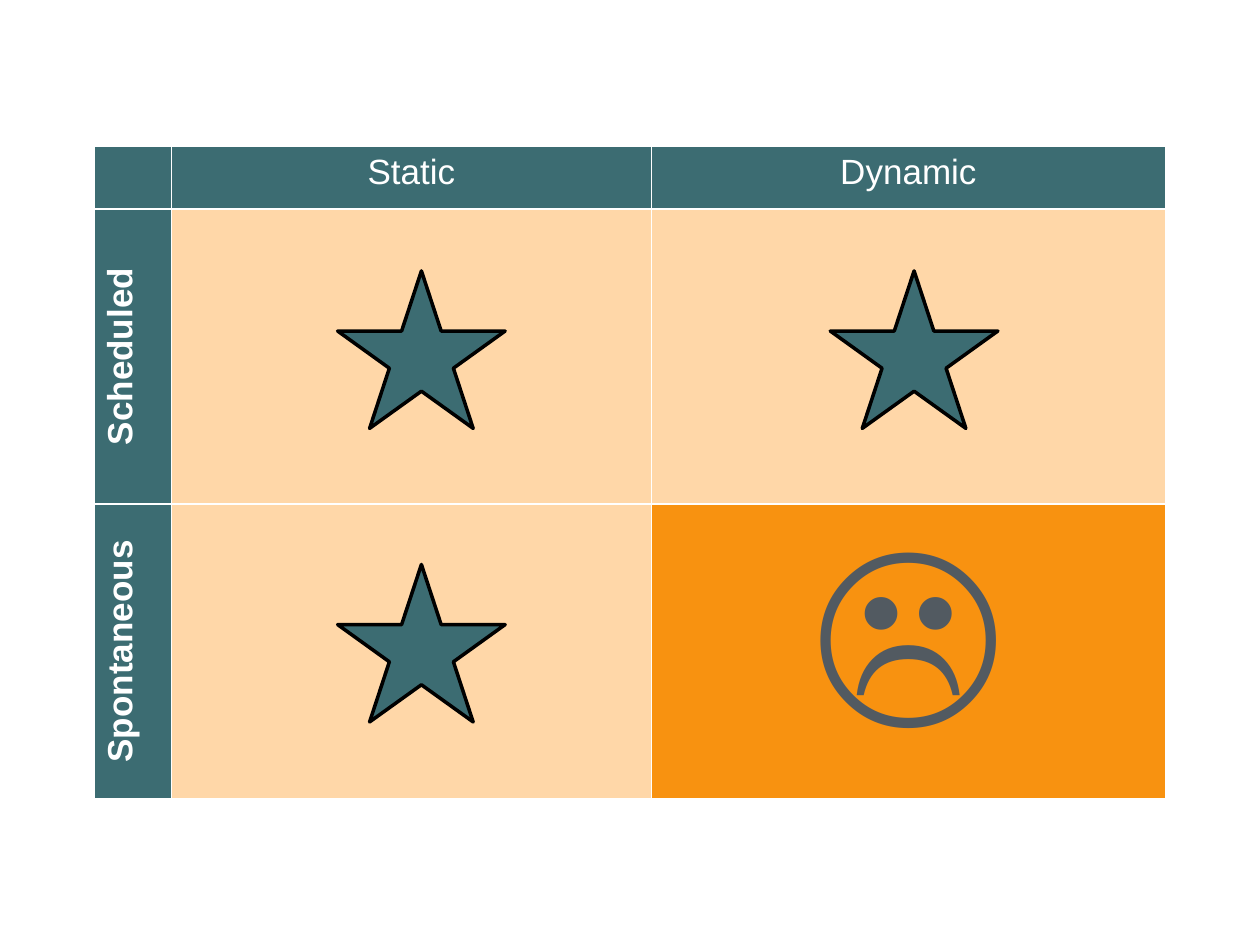
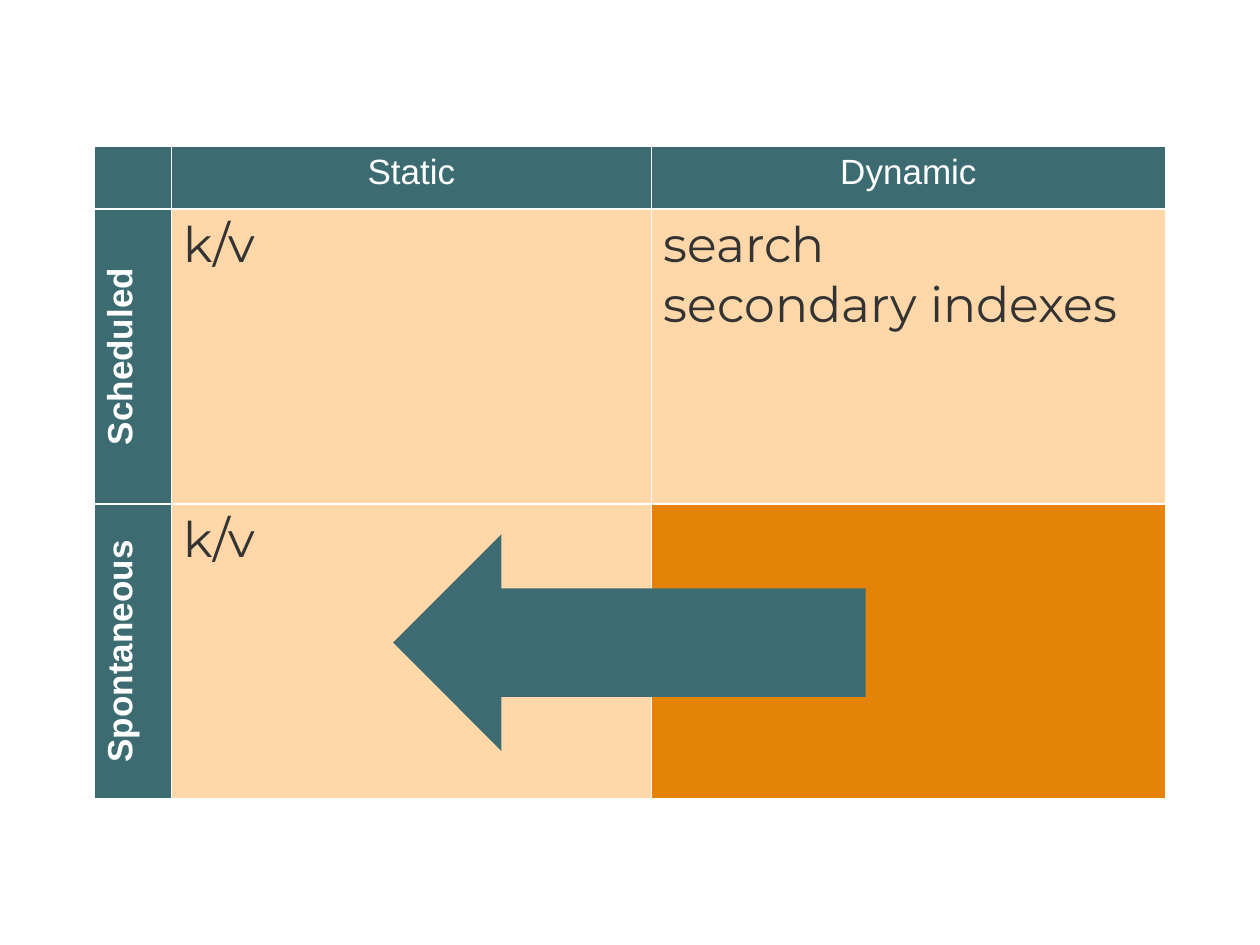
from lxml import etree
from pptx import Presentation
from pptx import util as u
from pptx.dml.color import RGBColor
from pptx.enum import shapes, text
from pptx.oxml.ns import qn

TEAL, PEACH, WHITE, BLACK = "3C6C72", "FFD7A8", "FFFFFF", "000000"
ORANGE, DARK_ORANGE, GREY, INK = "F89210", "E48307", "525A61", "333333"
LEFT, TOP = 0.75, 1.16
COLS, ROWS = (0.61, 3.81, 4.08), (0.5, 2.34, 2.34)
HEADERS, LABELS = ("Static", "Dynamic"), ("Scheduled", "Spontaneous")


def rgb(value):
    return RGBColor.from_string(value)


def write(tf, content, size=20, font="Arial", color=WHITE, bold=False,
          align=text.PP_ALIGN.CENTER):
    for i, line in enumerate(content.split("\n")):
        p = tf.add_paragraph() if i else tf.paragraphs[0]
        p.alignment = align
        r = p.add_run()
        r.text = line
        r.font.size, r.font.name, r.font.bold = u.Pt(size), font, bold
        r.font.color.rgb = rgb(color)


class Deck:
    def __init__(self):
        self.prs = Presentation()
        self.prs.slide_width, self.prs.slide_height = u.Inches(10), u.Inches(7.5)
        self.s = None

    def slide(self):
        self.s = self.prs.slides.add_slide(self.prs.slide_layouts[6])

    def shape(self, kind, x, y, w, h, line=None):
        sp = self.s.shapes.add_shape(kind, *map(u.Inches, (x, y, w, h)))
        sp.shadow.inherit = False
        sp.fill.solid()
        sp.fill.fore_color.rgb = rgb(TEAL)
        if line:
            sp.line.color.rgb = rgb(line)
            sp.line.width = u.Pt(2)
        else:
            sp.line.fill.background()

    def star(self, x, y):
        self.shape(shapes.MSO_SHAPE.STAR_5_POINT, x, y, 1.33, 1.25, BLACK)

    def cell(self, cell, fill):
        cell.fill.solid()
        cell.fill.fore_color.rgb = rgb(fill)
        tc_pr = cell._tc.get_or_add_tcPr()
        for i, side in enumerate("LRTB"):
            ln = etree.Element(qn(f"a:ln{side}"), w=str(u.Pt(1)))
            solid = etree.SubElement(ln, qn("a:solidFill"))
            etree.SubElement(solid, qn("a:srgbClr"), val=WHITE)
            tc_pr.insert(i, ln)

    def matrix(self, corner_fill):
        frame = self.s.shapes.add_table(
            len(ROWS), len(COLS),
            *map(u.Inches, (LEFT, TOP, sum(COLS), sum(ROWS))))
        table = frame.table
        table.first_row = table.horz_banding = False
        for column, width in zip(table.columns, COLS):
            column.width = u.Inches(width)
        for row, height in zip(table.rows, ROWS):
            row.height = u.Inches(height)
        for r in range(len(ROWS)):
            for c in range(len(COLS)):
                self.cell(table.cell(r, c), PEACH if r and c else TEAL)
        table.cell(2, 2).fill.fore_color.rgb = rgb(corner_fill)
        for c, header in enumerate(HEADERS, 1):
            write(table.cell(0, c).text_frame, header)
        for r, label in enumerate(LABELS, 1):
            label_cell = table.cell(r, 0)
            label_cell._tc.get_or_add_tcPr().set("vert", "vert270")
            write(label_cell.text_frame, label, bold=True)
        return table


def main():
    deck = Deck()

    deck.slide()
    table = deck.matrix(ORANGE)
    write(table.cell(2, 2).text_frame, "☹", size=120, color=GREY)
    for x, y in ((2.68, 2.15), (6.59, 2.15), (2.68, 4.48)):
        deck.star(x, y)

    deck.slide()
    table = deck.matrix(DARK_ORANGE)
    examples = {(1, 1): "k/v", (1, 2): "search\nsecondary indexes", (2, 1): "k/v"}
    for position, content in examples.items():
        write(table.cell(*position).text_frame, content, size=28,
              font="Montserrat", color=INK, align=text.PP_ALIGN.LEFT)
    deck.shape(shapes.MSO_SHAPE.LEFT_ARROW, 3.12, 4.24, 3.75, 1.72)

    deck.prs.save("out.pptx")


if __name__ == "__main__":
    main()
